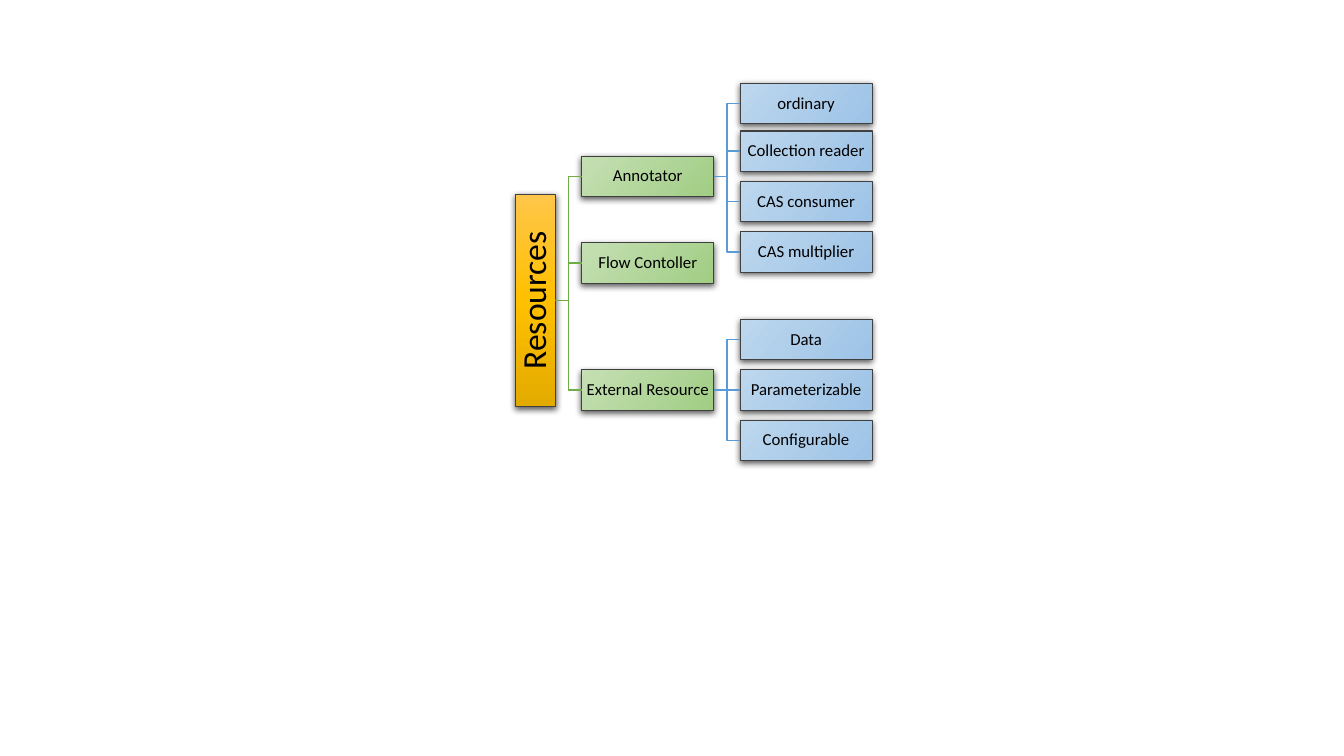
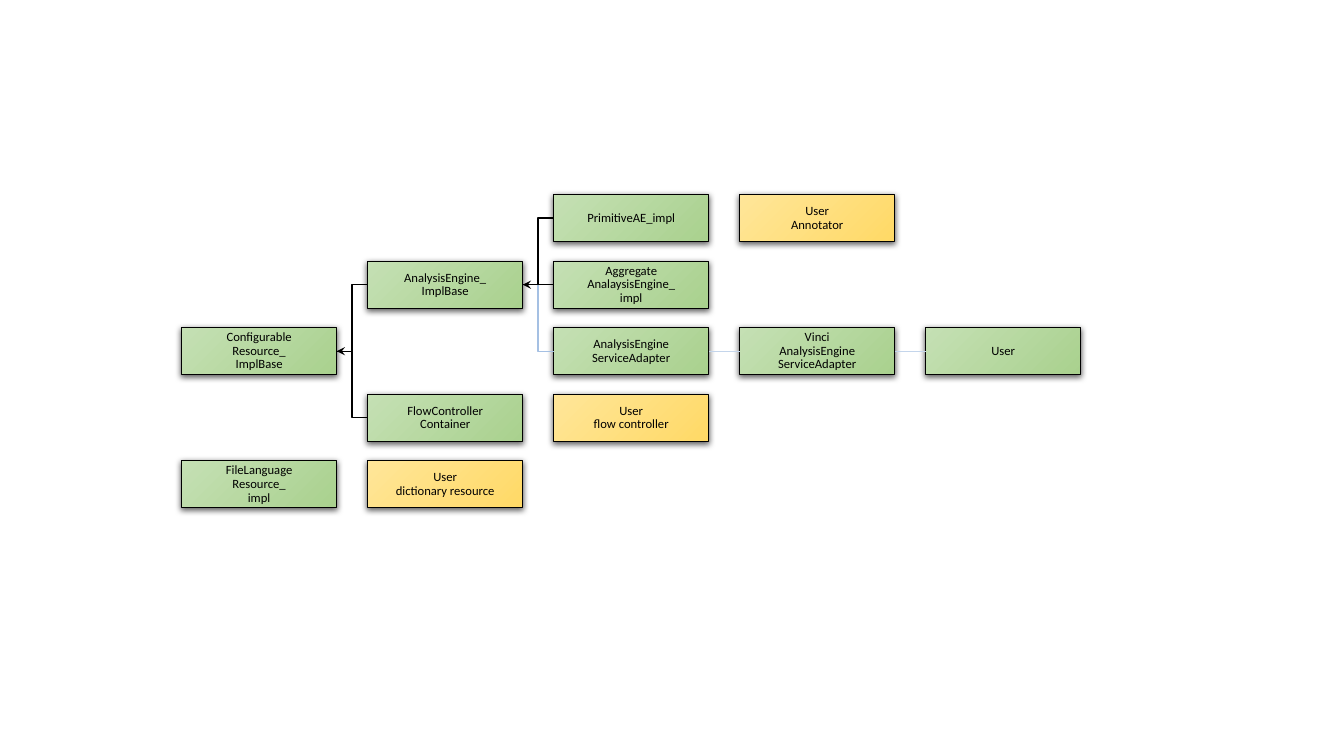
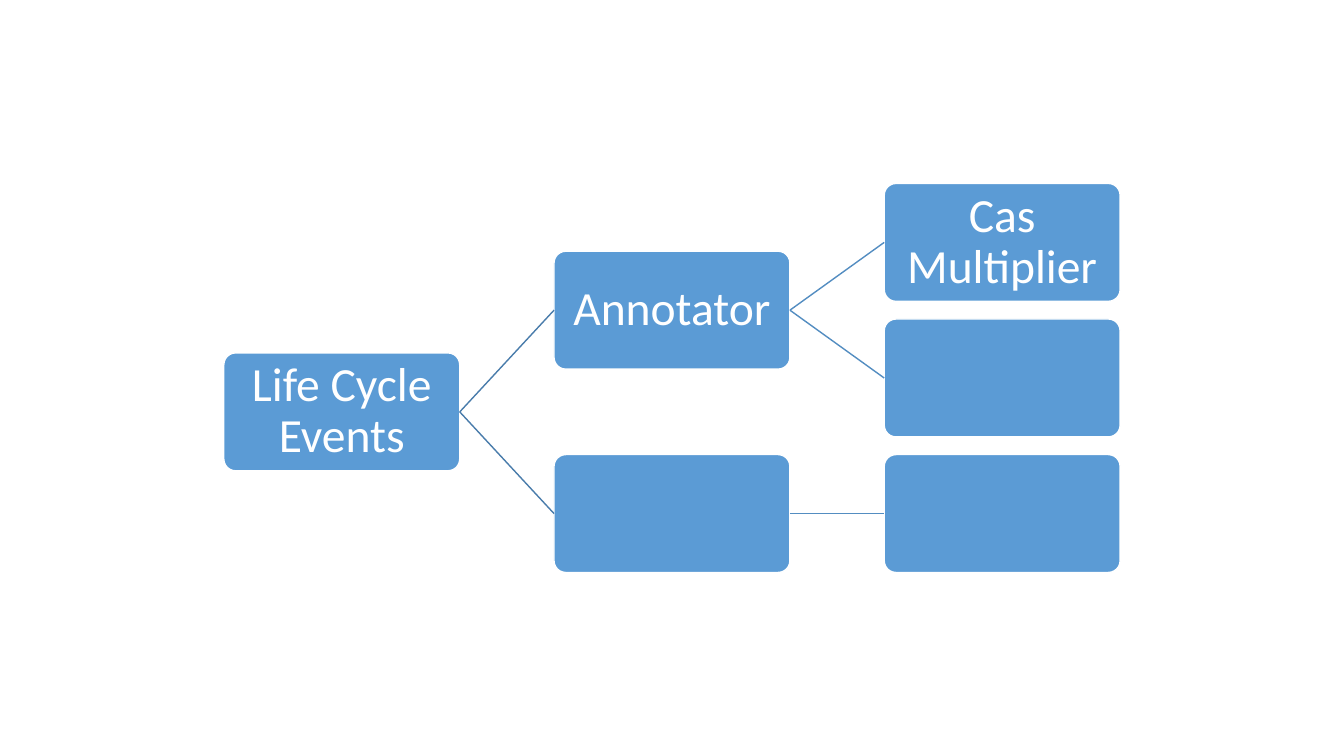
from copy import deepcopy
from dataclasses import dataclass

from lxml.etree import SubElement
from pptx import Presentation
from pptx.dml.color import RGBColor
from pptx.enum.dml import MSO_FILL
from pptx.enum.shapes import MSO_CONNECTOR, MSO_SHAPE
from pptx.enum.text import MSO_ANCHOR, PP_ALIGN
from pptx.oxml.ns import qn
from pptx.util import Inches, Pt

# Shared look
FONT = "Calibri"
BLACK = RGBColor(0x00, 0x00, 0x00)
WHITE = RGBColor(0xFF, 0xFF, 0xFF)
CHARCOAL = RGBColor(0x40, 0x40, 0x40)
BLUE = RGBColor(0x5B, 0x9B, 0xD5)
GREEN = RGBColor(0x70, 0xAD, 0x47)
FIRST_LINK = RGBColor(0x49, 0x7C, 0xAB)
SECOND_LINK = RGBColor(0x53, 0x8D, 0xC1)
PALE_LINK = RGBColor(0xC4, 0xD5, 0xEB)
ADAPTER_LINK = RGBColor(0xA5, 0xC0, 0xE3)
GREEN_LIGHT = RGBColor(0xC5, 0xE0, 0xB4)
GREEN_MID = RGBColor(0xA1, 0xCD, 0x84)
GREEN_SOFT = RGBColor(0xA9, 0xD1, 0x8E)
BLUE_LIGHT = RGBColor(0xBD, 0xD7, 0xEE)
BLUE_MID = RGBColor(0x9D, 0xC3, 0xE6)
GOLD_LIGHT = RGBColor(0xFF, 0xE6, 0x99)
GOLD_MID = RGBColor(0xFF, 0xD9, 0x66)
AMBER_LIGHT = RGBColor(0xFF, 0xC6, 0x4B)
AMBER = RGBColor(0xFF, 0xC0, 0x00)
AMBER_DARK = RGBColor(0xE3, 0xAB, 0x00)

LEFT_SITE, RIGHT_SITE = 1, 3


@dataclass
class Style:
    fills: tuple
    outline: RGBColor
    size: int
    angle: int = 0
    outline_width: float = 0.75
    inset: float = 0.01
    text_color: RGBColor = BLACK
    kind: MSO_SHAPE = MSO_SHAPE.RECTANGLE
    shadow: bool = True


@dataclass
class Grid:
    left: float
    top: float
    col_pitch: float
    row_pitch: float
    width: float
    height: float

    def cell(self, col, row):
        return (self.left + col * self.col_pitch,
                self.top + row * self.row_pitch, self.width, self.height)


ROOT = Style((AMBER_LIGHT, AMBER, AMBER_DARK), CHARCOAL, 24, 90, inset=0.02)
KIND = Style((GREEN_LIGHT, GREEN_MID), CHARCOAL, 12, 40)
VARIANT = Style((BLUE_LIGHT, BLUE_MID), CHARCOAL, 12, 40)
FRAMEWORK = Style((GREEN_LIGHT, GREEN_SOFT), BLACK, 9, 45)
USER = Style((GOLD_LIGHT, GOLD_MID), BLACK, 9, 45)
EVENT = Style((BLUE,), WHITE, 34, outline_width=1, inset=0.06, text_color=WHITE,
              kind=MSO_SHAPE.ROUNDED_RECTANGLE, shadow=False)


def paint(shape, style):
    """Fill, outline and shadow of a node."""
    fill = shape.fill
    if len(style.fills) == 1:
        fill.solid()
        fill.fore_color.rgb = style.fills[0]
    else:
        fill.gradient()
        stop_list = shape.element.spPr.find(".//" + qn("a:gsLst"))
        while len(stop_list) < len(style.fills):
            stop_list.insert(1, deepcopy(stop_list[0]))
        for i, (stop, color) in enumerate(zip(fill.gradient_stops, style.fills)):
            stop.position = i / (len(style.fills) - 1)
            stop.color.rgb = color
        fill.gradient_angle = 360 - style.angle
    shape.line.color.rgb = style.outline
    shape.line.width = Pt(style.outline_width)
    shape.shadow.inherit = False
    if style.shadow:
        effects = shape.element.spPr.find(qn("a:effectLst"))
        outer = SubElement(effects, qn("a:outerShdw"), blurRad=str(Pt(4.5)),
                           dist=str(Pt(1.5)), dir="5400000", algn="ctr",
                           rotWithShape="0")
        color = SubElement(outer, qn("a:srgbClr"), val=str(BLACK))
        SubElement(color, qn("a:alpha"), val="63000")


def add_node(slide, box, label, style, upright=False):
    node = slide.shapes.add_shape(style.kind, *map(Inches, box))
    if style.kind == MSO_SHAPE.ROUNDED_RECTANGLE:
        node.adjustments[0] = 0.1
    paint(node, style)
    if not label:
        return node
    frame = node.text_frame
    frame.word_wrap = True
    frame.vertical_anchor = MSO_ANCHOR.MIDDLE
    frame.margin_left = frame.margin_right = Inches(style.inset)
    frame.margin_top = frame.margin_bottom = Inches(style.inset)
    if upright:
        frame._txBody.bodyPr.set("vert", "vert270")
    paragraph = frame.paragraphs[0]
    paragraph.text = label
    paragraph.alignment = PP_ALIGN.CENTER
    paragraph.line_spacing = 0.9
    for run in paragraph.runs:
        run.font.name = FONT
        run.font.size = Pt(style.size)
        run.font.color.rgb = style.text_color
    return node


def link(slide, parent, child, color, elbow=True, arrow=False):
    """Line from the right side of parent to the left side of child."""
    level = abs(parent.top + parent.height / 2 - child.top - child.height / 2)
    bent = elbow and level > Inches(0.02)
    line = slide.shapes.add_connector(
        MSO_CONNECTOR.ELBOW if bent else MSO_CONNECTOR.STRAIGHT, 0, 0, 0, 0)
    line.begin_connect(parent, RIGHT_SITE)
    line.end_connect(child, LEFT_SITE)
    line.line.color.rgb = color
    line.line.width = Pt(1)
    properties = line._element.spPr
    if arrow:
        SubElement(properties.find(qn("a:ln")), qn("a:headEnd"), type="stealth")
    SubElement(properties, qn("a:effectLst"))


def resource_tree(slide, grid):
    """Resources, their kinds and the variants of each kind."""
    kinds = [
        ("Annotator", 1.44, [("ordinary", 0), ("Collection reader", 0.94),
                             ("CAS consumer", 1.94), ("CAS multiplier", 2.94)]),
        ("Flow Contoller", 3.16, []),
        ("External Resource", 5.68, [("Data", 4.68), ("Parameterizable", 5.68),
                                     ("Configurable", 6.68)]),
    ]
    root_box = (grid.left - 0.66, grid.top + 2.19 * grid.row_pitch, 0.4, 2.11)
    root = add_node(slide, root_box, "Resources", ROOT, upright=True)
    for kind_label, kind_row, variants in kinds:
        kind = add_node(slide, grid.cell(0, kind_row), kind_label, KIND)
        link(slide, root, kind, GREEN)
        for label, row in variants:
            variant = add_node(slide, grid.cell(1, row), label, VARIANT)
            link(slide, kind, variant, BLUE)


def class_tree(slide, grid):
    """Framework classes and the parts the user supplies."""
    classes = {
        "base": (0, 2, "Configurable\nResource_\nImplBase"),
        "engine": (1, 1, "AnalysisEngine_\nImplBase"),
        "primitive": (2, 0, "PrimitiveAE_impl"),
        "aggregate": (2, 1, "Aggregate\nAnalaysisEngine_\nimpl"),
        "adapter": (2, 2, "AnalysisEngine\nServiceAdapter"),
        "vinci": (3, 2, "Vinci\nAnalysisEngine\nServiceAdapter"),
        "client": (4, 2, "User"),
        "flow": (1, 3, "FlowController\nContainer"),
        "file": (0, 4, "FileLanguage\nResource_\nimpl"),
    }
    user_parts = [(3, 0, "User\nAnnotator"), (2, 3, "User\nflow controller"),
                  (1, 4, "User\ndictionary resource")]
    links = [
        ("base", "flow", BLACK, False),
        ("vinci", "client", PALE_LINK, False),
        ("adapter", "vinci", PALE_LINK, False),
        ("engine", "adapter", ADAPTER_LINK, False),
        ("engine", "aggregate", BLACK, False),
        ("engine", "primitive", BLACK, True),
        ("base", "engine", BLACK, True),
    ]
    nodes = {key: add_node(slide, grid.cell(col, row), label, FRAMEWORK)
             for key, (col, row, label) in classes.items()}
    for col, row, label in user_parts:
        add_node(slide, grid.cell(col, row), label, USER)
    for parent, child, color, arrow in links:
        link(slide, nodes[parent], nodes[child], color, arrow=arrow)


def event_tree(slide, grid):
    """Life cycle events, two levels deep."""
    branches = [("Annotator", 0.5, [("Cas Multiplier", 0), ("", 1)]),
                ("", 2, [("", 2)])]
    root = add_node(slide, grid.cell(0, 1.25), "Life Cycle Events", EVENT)
    for branch_label, branch_row, leaves in branches:
        branch = add_node(slide, grid.cell(1, branch_row), branch_label, EVENT)
        link(slide, root, branch, FIRST_LINK, elbow=False)
        for label, row in leaves:
            leaf = add_node(slide, grid.cell(2, row), label, EVENT)
            link(slide, branch, leaf, SECOND_LINK, elbow=False)


def main():
    deck = Presentation()
    deck.slide_width, deck.slide_height = Inches(13.33), Inches(7.5)
    blank = deck.slide_layouts[6]
    trees = [
        (resource_tree, Grid(5.77, 0.83, 1.57, 0.5, 1.31, 0.4)),
        (class_tree, Grid(1.8, 1.93, 1.845, 0.66, 1.54, 0.47)),
        (event_tree, Grid(2.22, 1.82, 3.275, 1.345, 2.34, 1.17)),
    ]
    for draw_tree, grid in trees:
        draw_tree(deck.slides.add_slide(blank), grid)
    deck.save("out.pptx")


if __name__ == "__main__":
    main()
